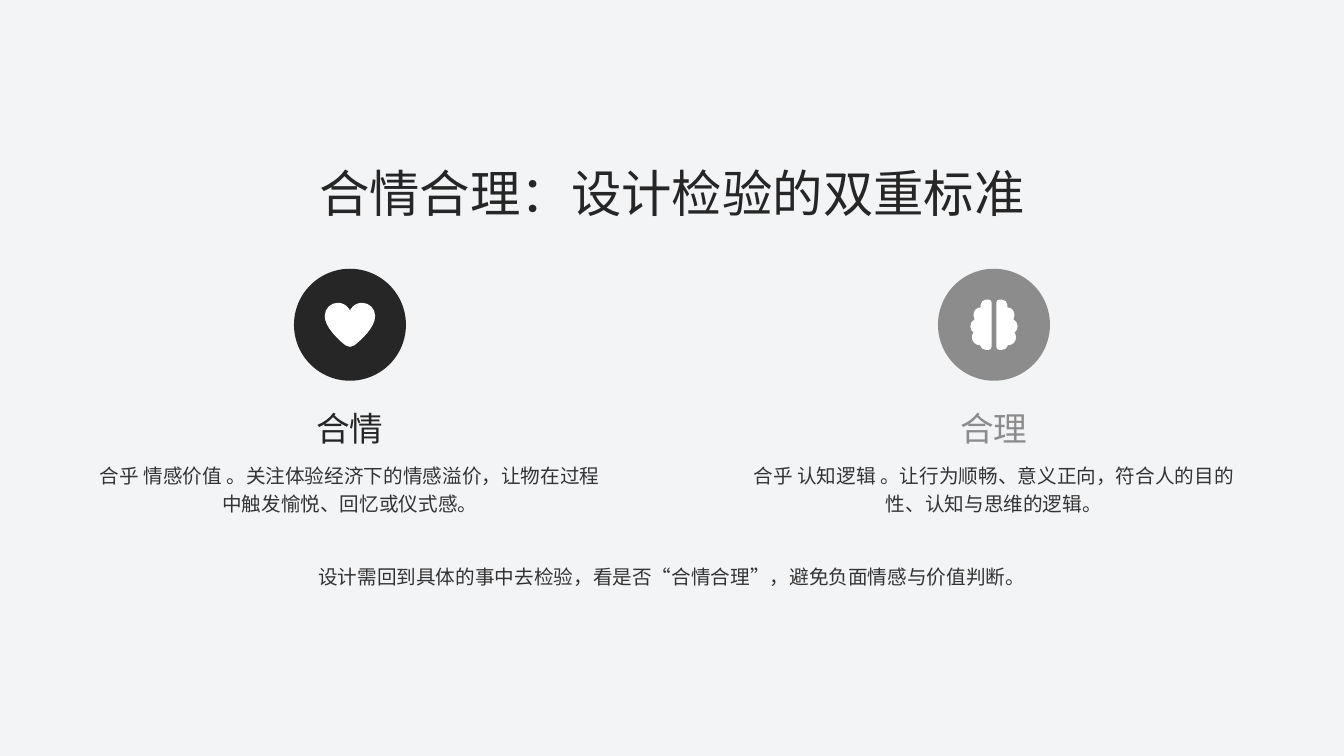
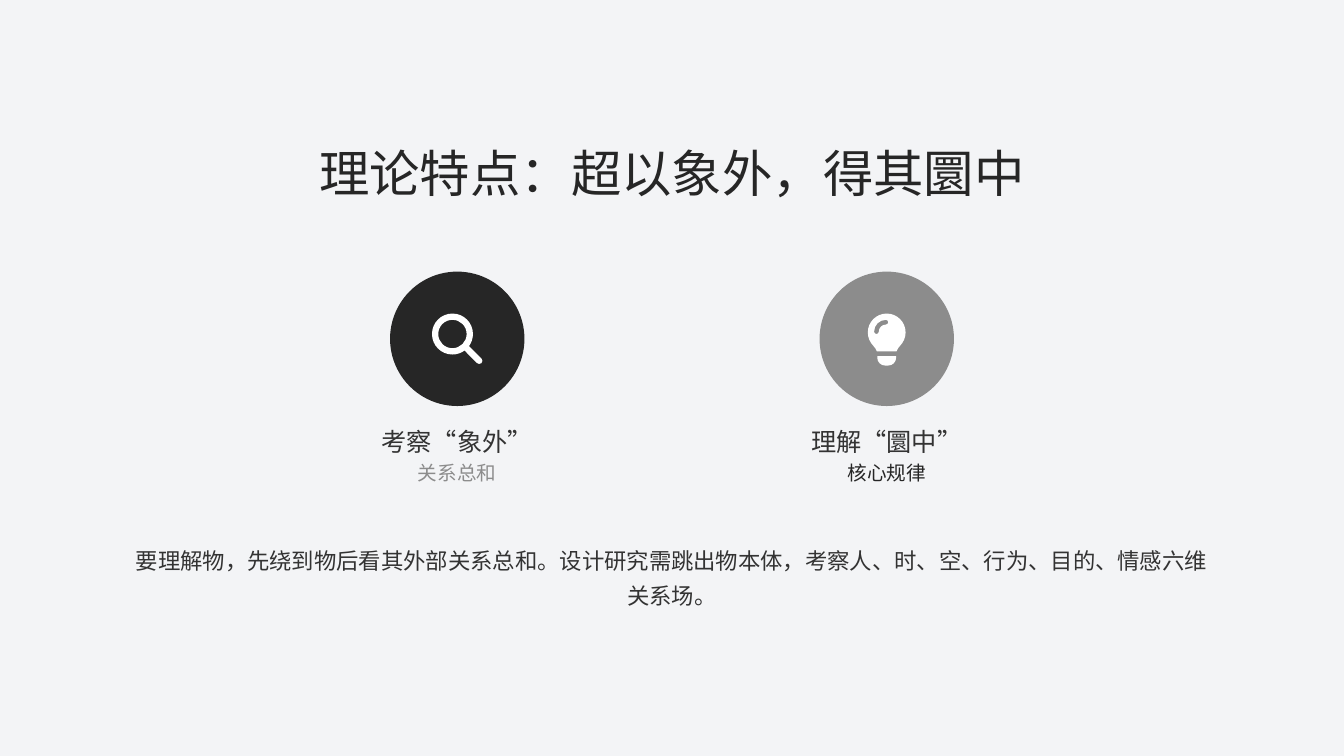
from lxml import etree
from pptx import Presentation, util as u
from pptx.dml.color import RGBColor
from pptx.enum import shapes, text
from pptx.oxml.ns import qn

COLS, ROWS = 48, 27
WIDE, HIGH = u.Inches(13.333), u.Inches(7.5)
FONT = "Noto Sans CJK SC"
PALE, DARK, INK, GREY, WHITE = "F3F4F6", "262626", "333333", "8C8C8C", "FFFFFF"
MID = COLS / 2
SIDE = 1.8
UNITS = 512

HEART = """M 241 87 L 256 108 L 271 87 C 296 52 336 32 379 32 C 452 32 512 92 512 165
L 512 168 C 512 280 372 410 299 466 C 287 475 272 480 256 480 C 240 480 225 475 213 466
C 140 410 0 280 0 168 L 0 165 C 0 92 60 32 133 32 C 176 32 216 52 241 87"""
LOBE = """M 120 56 C 120 25 145 0 176 0 L 200 0 C 218 0 232 14 232 32 L 232 480
C 232 498 218 512 200 512 L 176 512 C 146 512 121 492 114 464 C 113 464 113 464 112 464
C 68 464 32 428 32 384 C 32 366 38 349 48 336 C 29 322 16 298 16 272
C 16 241 34 214 59 201 C 52 189 48 175 48 160 C 48 116 76 80 120 80"""
LENS = """M 416 208 C 416 254 401 296 376 331 L 503 457 C 515 470 515 490 503 503
C 490 515 470 515 457 503 L 331 376 C 296 401 254 416 208 416
C 93 416 0 323 0 208 C 0 93 93 0 208 0 C 323 0 416 93 416 208
M 208 352 C 288 352 352 288 352 208 C 352 128 288 64 208 64
C 128 64 64 128 64 208 C 64 288 128 352 208 352"""
BULB = """M 356 384 C 364 362 378 342 394 325 C 426 291 448 244 448 192
C 448 86 362 0 256 0 C 150 0 64 86 64 192 C 64 244 86 291 118 325
C 134 342 148 362 156 384
M 352 432 L 160 432 L 160 448 C 160 492 196 528 240 528 L 272 528
C 316 528 352 492 352 448
M 248 112 C 208 112 176 144 176 184 C 176 197 165 208 152 208
C 139 208 128 197 128 184 C 128 118 182 64 248 64 C 261 64 272 75 272 88
C 272 101 261 112 248 112"""


def col(n):
    return round(WIDE * n / COLS)


def row(n):
    return round(HIGH * n / ROWS)


def tint(hue):
    return RGBColor.from_string(hue)


def paint(shape, hue):
    shape.shadow.inherit = False
    shape.fill.solid()
    shape.fill.fore_color.rgb = tint(hue)
    shape.line.fill.background()


def write(slide, words, mid, top, wide, high, size=14, hue=INK, lead=1.2):
    box = slide.shapes.add_textbox(col(mid - wide / 2), row(top), col(wide), row(high))
    frame = box.text_frame
    frame.word_wrap = True
    frame.vertical_anchor = text.MSO_ANCHOR.MIDDLE
    frame.margin_left = frame.margin_right = frame.margin_top = frame.margin_bottom = 0
    para = frame.paragraphs[0]
    para.alignment = text.PP_ALIGN.CENTER
    para.line_spacing = lead
    para._p.get_or_add_pPr().set("hangingPunct", "0")
    run = para.add_run()
    run.text = words
    run.font.name = FONT
    run.font.size = u.Pt(size)
    run.font.color.rgb = tint(hue)
    face = etree.SubElement(run._r.get_or_add_rPr(), qn("a:ea"))
    face.set("typeface", FONT)


def trace(code):
    loops, marks = [], iter(code.split())
    for kind in marks:
        count = 3 if kind == "C" else 1
        step = [(int(next(marks)), int(next(marks))) for _ in range(count)]
        if kind == "M":
            loops.append([])
        loops[-1].append(step)
    return loops


def flip(loops):
    return [[[(UNITS - x, y) for x, y in step] for step in loop] for loop in loops]


def curve(shape, loops):
    ends = [step[-1] for loop in loops for step in loop]
    left, top = (min(axis) for axis in zip(*ends))
    steps = [step for loop in loops for step in loop[1:]]
    for node, step in zip(list(shape._element.iter(qn("a:lnTo"))), steps):
        if len(step) == 3:
            node.tag = qn("a:cubicBezTo")
            for i, (x, y) in enumerate(step[:2]):
                knot = etree.Element(qn("a:pt"), x=str(x - left), y=str(y - top))
                node.insert(i, knot)


def badge(slide, loops, mid, top, size, hue):
    disc = slide.shapes.add_shape(shapes.MSO_SHAPE.OVAL, col(mid - size / 2), row(top),
                                  col(size), row(size))
    paint(disc, hue)
    pen = slide.shapes.build_freeform(*loops[0][0][-1], scale=col(SIDE) / UNITS)
    for i, loop in enumerate(loops):
        if i:
            pen.move_to(*loop[0][-1])
        pen.add_line_segments([step[-1] for step in loop[1:]], close=True)
    icon = pen.convert_to_shape(col(mid - SIDE / 2), row(top + (size - SIDE) / 2))
    curve(icon, loops)
    paint(icon, WHITE)


def start(deck, title, top):
    slide = deck.slides.add_slide(deck.slide_layouts[6])
    slide.background.fill.solid()
    slide.background.fill.fore_color.rgb = tint(PALE)
    write(slide, title, MID, top, COLS, 2, size=36, hue=DARK, lead=0.9)
    return slide


def tests(deck):
    slide = start(deck, "合情合理：设计检验的双重标准", 6)
    lobe = trace(LOBE)
    items = [
        (-11.5, trace(HEART), DARK, "合情",
         "合乎 情感价值 。关注体验经济下的情感溢价，让物在过程中触发愉悦、回忆或仪式感。"),
        (11.5, lobe + flip(lobe), GREY, "合理",
         "合乎 认知逻辑 。让行为顺畅、意义正向，符合人的目的性、认知与思维的逻辑。"),
    ]
    for shift, icon, hue, name, note in items:
        mid = MID + shift
        badge(slide, icon, mid, 9.6, 4, hue)
        write(slide, name, mid, 14.4, 20.4, 1.6, size=24, hue=hue, lead=1.1)
        write(slide, note, mid, 16.4, 18.4, 2)
    write(slide, "设计需回到具体的事中去检验，看是否“合情合理”，避免负面情感与价值判断。",
          MID, 20, COLS, 1)


def traits(deck):
    slide = start(deck, "理论特点：超以象外，得其圜中", 5.3)
    items = [
        (-7.67, LENS, DARK, "考察“象外”", "关系总和", GREY),
        (7.67, BULB, GREY, "理解“圜中”", "核心规律", DARK),
    ]
    for shift, code, hue, name, note, tone in items:
        mid = MID + shift
        badge(slide, trace(code), mid, 9.7, 4.8, hue)
        write(slide, name, mid, 14.9, 15.77, 1.4, size=18, lead=1.3)
        write(slide, note, mid, 16.3, 15.77, 1, hue=tone)
    write(slide, "要理解物，先绕到物后看其外部关系总和。设计研究需跳出物本体，"
          "考察人、时、空、行为、目的、情感六维关系场。",
          MID, 19.3, 38.4, 2.4, size=16, lead=1.3)


def main():
    deck = Presentation()
    deck.slide_width, deck.slide_height = WIDE, HIGH
    tests(deck)
    traits(deck)
    deck.save("out.pptx")


if __name__ == "__main__":
    main()
